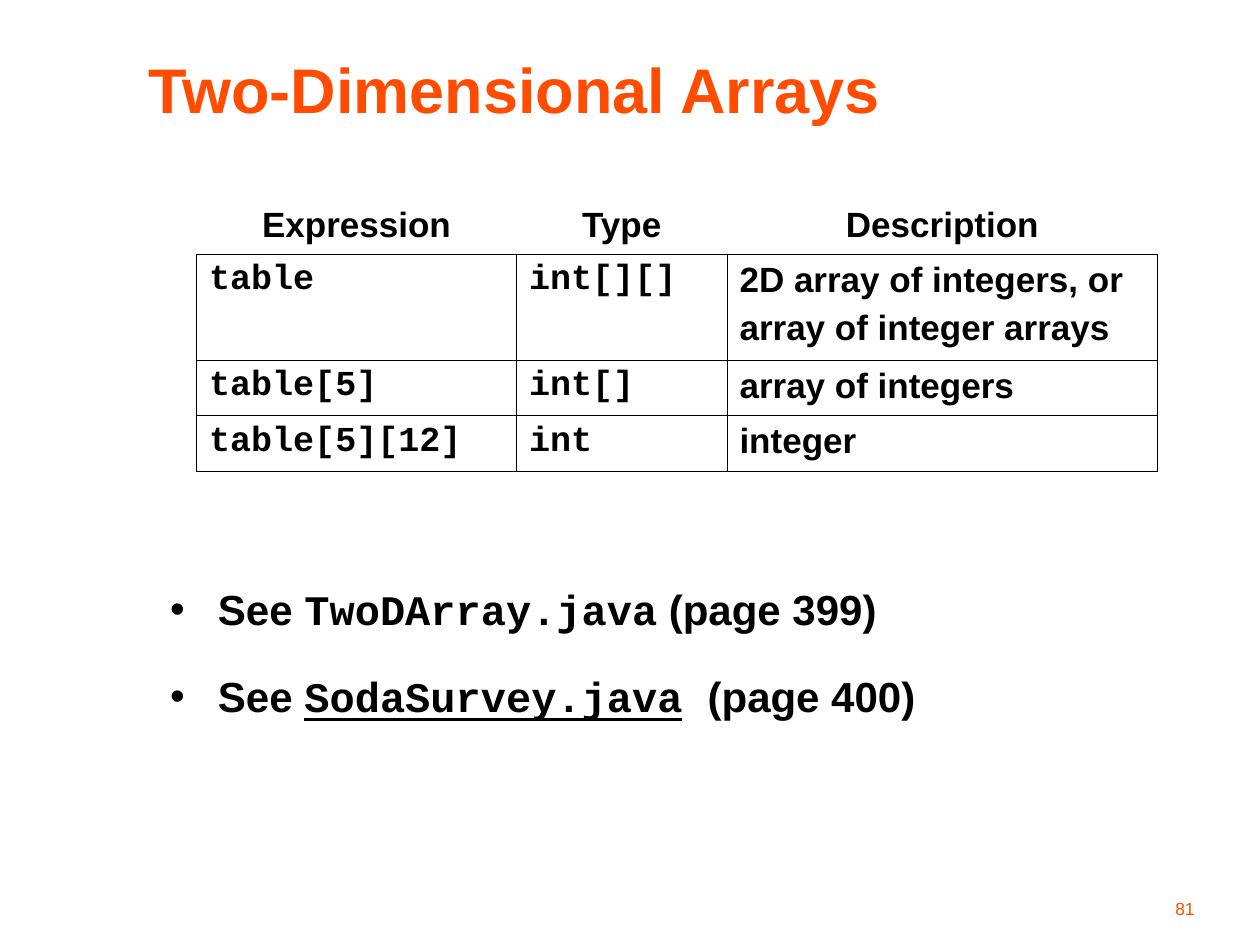
"""Build the slide on two-dimensional arrays."""
from lxml import etree
from pptx import Presentation
from pptx.dml.color import RGBColor
from pptx.enum.text import MSO_ANCHOR, MSO_AUTO_SIZE, PP_ALIGN
from pptx.oxml.ns import qn
from pptx.util import Inches, Pt

LEFT, CENTER, RIGHT = PP_ALIGN.LEFT, PP_ALIGN.CENTER, PP_ALIGN.RIGHT
TOP, MIDDLE, BOTTOM = MSO_ANCHOR.TOP, MSO_ANCHOR.MIDDLE, MSO_ANCHOR.BOTTOM
NO_FIT = MSO_AUTO_SIZE.NONE
COLORS = {"accent": "FF4C00", "text": "000000"}
SANS, MONO = "Arial", "Courier New"
PLAIN_TABLE = "{2D5ABB26-0587-4C30-8999-92F81FD0307C}"


def add_run(p, text, size, color="text", **formats):
    r = p.add_run()
    r.text = text
    values = {"name": SANS, "bold": True, "size": Pt(size)} | formats
    for key, value in values.items():
        setattr(r.font, key, value)
    r.font.color.rgb = RGBColor.from_string(COLORS[color])


def set_box(sp, left, top, width, height, anchor):
    sp.left, sp.top = Inches(left), Inches(top)
    sp.width, sp.height = Inches(width), Inches(height)
    tf = sp.text_frame
    frame = {"word_wrap": True, "auto_size": NO_FIT, "vertical_anchor": anchor}
    for key, value in frame.items():
        setattr(tf, key, value)
    return tf


prs = Presentation()
prs.slide_width, prs.slide_height = Inches(10), Inches(7.5)
s = prs.slides.add_slide(prs.slide_layouts[1])

p = set_box(s.shapes.title, 1.08, 0.33, 8.67, 0.75, MIDDLE).paragraphs[0]
p.alignment = LEFT
add_run(p, "Two-Dimensional Arrays", 36, "accent")

rows = [
    ["Expression", "Type", "Description"],
    ["table", "int[][]", "2D array of integers, or\narray of integer arrays"],
    ["table[5]", "int[]", "array of integers"],
    ["table[5][12]", "int", "integer"],
]
widths, heights = [2.54, 1.67, 3.42], [0.44, 0.84, 0.44, 0.44]
frame = s.shapes.add_table(len(rows), len(widths), Inches(1.56), Inches(1.58),
                           Inches(sum(widths)), Inches(sum(heights)))
table = frame.table
table.first_row = table.horz_banding = False
frame._element.find(".//" + qn("a:tableStyleId")).text = PLAIN_TABLE
for column, width in zip(table.columns, widths):
    column.width = Inches(width)
for i, (row, height) in enumerate(zip(rows, heights)):
    table.rows[i].height = Inches(height)
    for j, text in enumerate(row):
        cell = table.cell(i, j)
        tf = cell.text_frame
        for k, line in enumerate(text.split("\n")):
            p = tf.add_paragraph() if k else tf.paragraphs[0]
            p.space_before = Pt(5 if k else 0)
            p.alignment = LEFT if i else CENTER
            add_run(p, line, 20, name=MONO if i and j < 2 else SANS)
        tcPr = cell._tc.get_or_add_tcPr()
        for side in ("L", "R", "T", "B") if i else ("B",):
            ln = etree.SubElement(tcPr, qn("a:ln" + side), w=str(Pt(0.45)))
            solid = etree.SubElement(ln, qn("a:solidFill"))
            etree.SubElement(solid, qn("a:srgbClr"), val=COLORS["text"])
        cell.fill.background()

tf = set_box(s.placeholders[1], 1.25, 4.58, 8.42, 1.5, TOP)
references = [
    [("See ", {}), ("TwoDArray.java", {"name": MONO}), (" (page 399)", {})],
    [("See ", {}), ("SodaSurvey.java", {"name": MONO, "underline": True}),
     (" ", {"name": MONO}), ("(page 400)", {})],
]
for i, runs in enumerate(references):
    p = tf.add_paragraph() if i else tf.paragraphs[0]
    p.space_before = Pt(21 if i else 0)
    pPr = p._p.get_or_add_pPr()
    pPr.set("marL", str(Inches(0.38)))
    pPr.set("indent", str(-Inches(0.38)))
    bullet_color = etree.SubElement(pPr, qn("a:buClr"))
    etree.SubElement(bullet_color, qn("a:srgbClr"), val=COLORS["text"])
    etree.SubElement(pPr, qn("a:buChar"), char="•")
    for text, formats in runs:
        add_run(p, text, 24, **formats)

sp = s.shapes.add_textbox(0, 0, 0, 0)
p = set_box(sp, 7.5, 6.92, 2.08, 0.42, BOTTOM).paragraphs[0]
p.alignment = RIGHT
add_run(p, "81", 10, "accent", bold=False)

prs.save("out.pptx")
